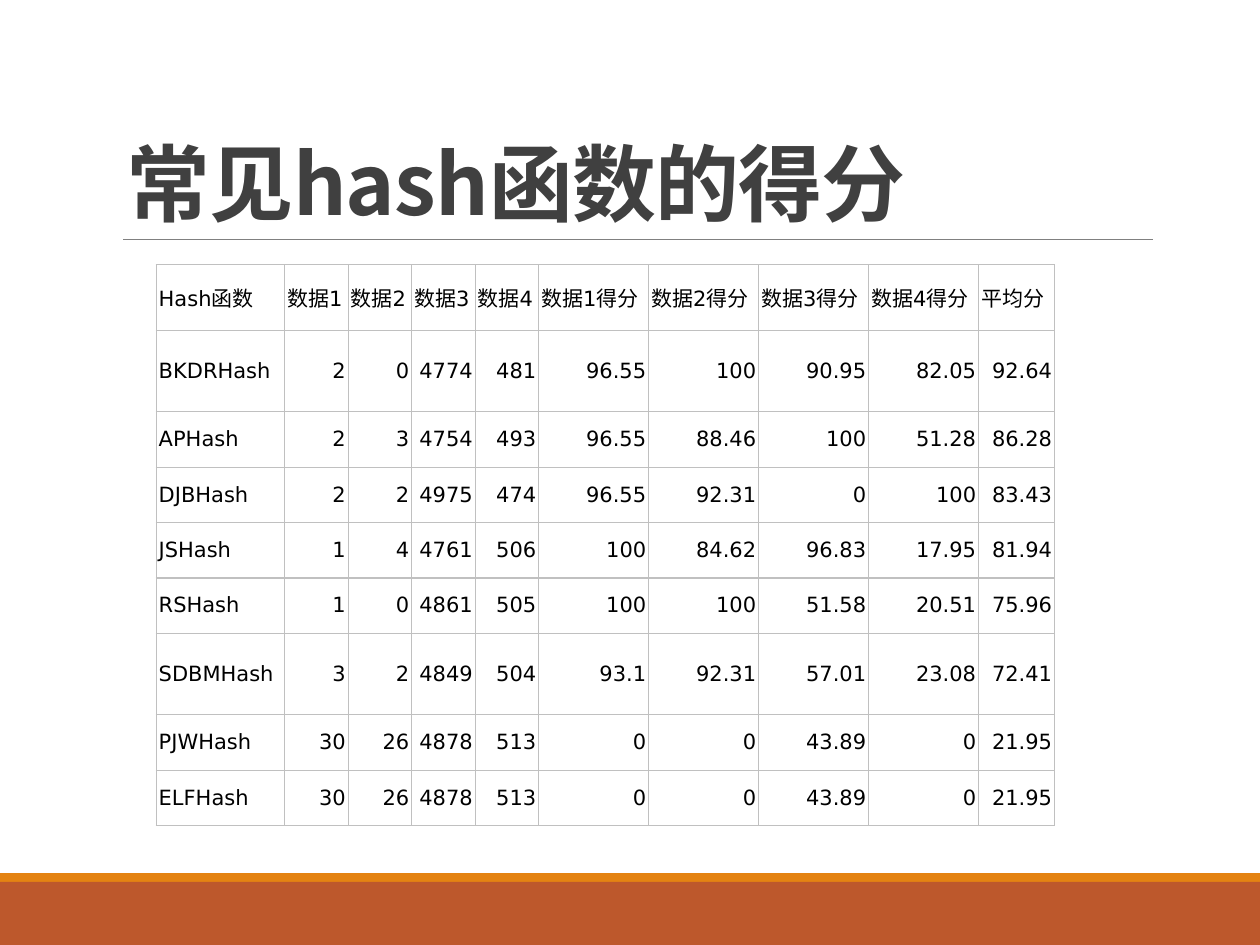
from lxml.etree import SubElement
from pptx import Presentation
from pptx.dml.color import RGBColor
from pptx.enum.shapes import MSO_CONNECTOR as Connector, MSO_SHAPE as Shape
from pptx.enum.text import MSO_ANCHOR as Anchor, MSO_AUTO_SIZE as AutoSize, PP_ALIGN as Align
from pptx.oxml.ns import qn
from pptx.util import Inches, Pt

COLORS = {
    "background": "FFFFFF",
    "band": "BD582C",
    "stripe": "E48312",
    "rule": "808080",
    "title": "404040",
    "text": "000000",
    "border": "C0C0C0",
}
LATIN_FONT = "DejaVu Sans"
CHINESE_FONT = "Noto Sans CJK SC"
GRID_COLUMNS, GRID_ROWS = 100, 75
CELL = Inches(10) / GRID_COLUMNS

COLUMN_WIDTHS = [10.2] + [5.04] * 4 + [8.73] * 4 + [6.03]
SHORT_ROW, TALL_ROW = 4.4, 6.45
TALL_NAMES = {"BKDRHash", "SDBMHash"}
SCORES = [
    ["Hash函数", "数据1", "数据2", "数据3", "数据4",
     "数据1得分", "数据2得分", "数据3得分", "数据4得分", "平均分"],
    ["BKDRHash", 2, 0, 4774, 481, 96.55, 100, 90.95, 82.05, 92.64],
    ["APHash", 2, 3, 4754, 493, 96.55, 88.46, 100, 51.28, 86.28],
    ["DJBHash", 2, 2, 4975, 474, 96.55, 92.31, 0, 100, 83.43],
    ["JSHash", 1, 4, 4761, 506, 100, 84.62, 96.83, 17.95, 81.94],
    ["RSHash", 1, 0, 4861, 505, 100, 100, 51.58, 20.51, 75.96],
    ["SDBMHash", 3, 2, 4849, 504, 93.1, 92.31, 57.01, 23.08, 72.41],
    ["PJWHash", 30, 26, 4878, 513, 0, 0, 43.89, 0, 21.95],
    ["ELFHash", 30, 26, 4878, 513, 0, 0, 43.89, 0, 21.95],
]


def grid(*units):
    return [round(unit * CELL) for unit in units]


def color(name):
    return RGBColor.from_string(COLORS[name])


def add_run(paragraph, text, font_name, size, color_name, bold=False):
    run = paragraph.add_run()
    run.text = text
    run.font.name = font_name
    run.font.size = Pt(size)
    run.font.bold = bold
    run.font.color.rgb = color(color_name)
    properties = run.font._element
    SubElement(properties, qn("a:ea"), typeface=CHINESE_FONT)
    return properties


def add_footer(slide, left, top, width, height):
    stripe_height = 0.7
    parts = [
        ("stripe", top, stripe_height),
        ("band", top + stripe_height, height - stripe_height),
    ]
    for name, part_top, part_height in parts:
        shape = slide.shapes.add_shape(
            Shape.RECTANGLE, *grid(left, part_top, width, part_height))
        shape.shadow.inherit = False
        shape.fill.solid()
        shape.fill.fore_color.rgb = color(name)
        shape.line.fill.background()


def add_title(slide, left, top, width, height):
    title = slide.shapes.title
    title.left, title.top, title.width, title.height = grid(left, top, width, height)
    frame = title.text_frame
    frame.word_wrap = True
    frame.auto_size = AutoSize.NONE
    frame.vertical_anchor = Anchor.BOTTOM
    paragraph = frame.paragraphs[0]
    paragraph.alignment = Align.LEFT
    paragraph.line_spacing = 0.85
    properties = add_run(paragraph, "常见hash函数的得分", CHINESE_FONT, 48, "title", True)
    properties.set("spc", "-50")

    bottom, right = top + height, left + width
    rule = slide.shapes.add_connector(
        Connector.STRAIGHT, *grid(left + 0.8, bottom, right, bottom))
    rule.line.color.rgb = color("rule")
    rule.line.width = Pt(0.5)
    SubElement(rule._element.spPr, qn("a:effectLst"))


def add_borders(cell):
    properties = cell._tc.get_or_add_tcPr()
    for side in ("lnL", "lnR", "lnT", "lnB"):
        line = SubElement(properties, qn(f"a:{side}"), w=str(Pt(0.75)))
        fill = SubElement(line, qn("a:solidFill"))
        SubElement(fill, qn("a:srgbClr"), val=COLORS["border"])


def fill_cell(cell, value):
    add_borders(cell)
    cell.fill.solid()
    cell.fill.fore_color.rgb = color("background")
    cell.vertical_anchor = Anchor.MIDDLE
    cell.margin_left = cell.margin_right = Inches(0.02)
    cell.margin_top = cell.margin_bottom = Inches(0.02)
    paragraph = cell.text_frame.paragraphs[0]
    paragraph.alignment = Align.LEFT if isinstance(value, str) else Align.RIGHT
    add_run(paragraph, str(value), LATIN_FONT, 12, "text")


def add_score_table(slide, left, top, width, height):
    table = slide.shapes.add_table(
        len(SCORES), len(COLUMN_WIDTHS), *grid(left, top, width, height)).table
    table.first_row = False
    table.horz_banding = False
    for column, column_width in zip(table.columns, grid(*COLUMN_WIDTHS)):
        column.width = column_width
    for row, values in zip(table.rows, SCORES):
        row.height = grid(TALL_ROW if values[0] in TALL_NAMES else SHORT_ROW)[0]
        for cell, value in zip(row.cells, values):
            fill_cell(cell, value)


def main():
    presentation = Presentation()
    presentation.slide_width, presentation.slide_height = grid(GRID_COLUMNS, GRID_ROWS)
    slide = presentation.slides.add_slide(presentation.slide_layouts[5])
    slide.background.fill.solid()
    slide.background.fill.fore_color.rgb = color("background")
    add_footer(slide, 0, 69.3, GRID_COLUMNS, 5.7)
    add_title(slide, 9, 3.1, 82.5, 15.9)
    add_score_table(slide, 12.4, 21, sum(COLUMN_WIDTHS), 44)
    presentation.save("out.pptx")


if __name__ == "__main__":
    main()
